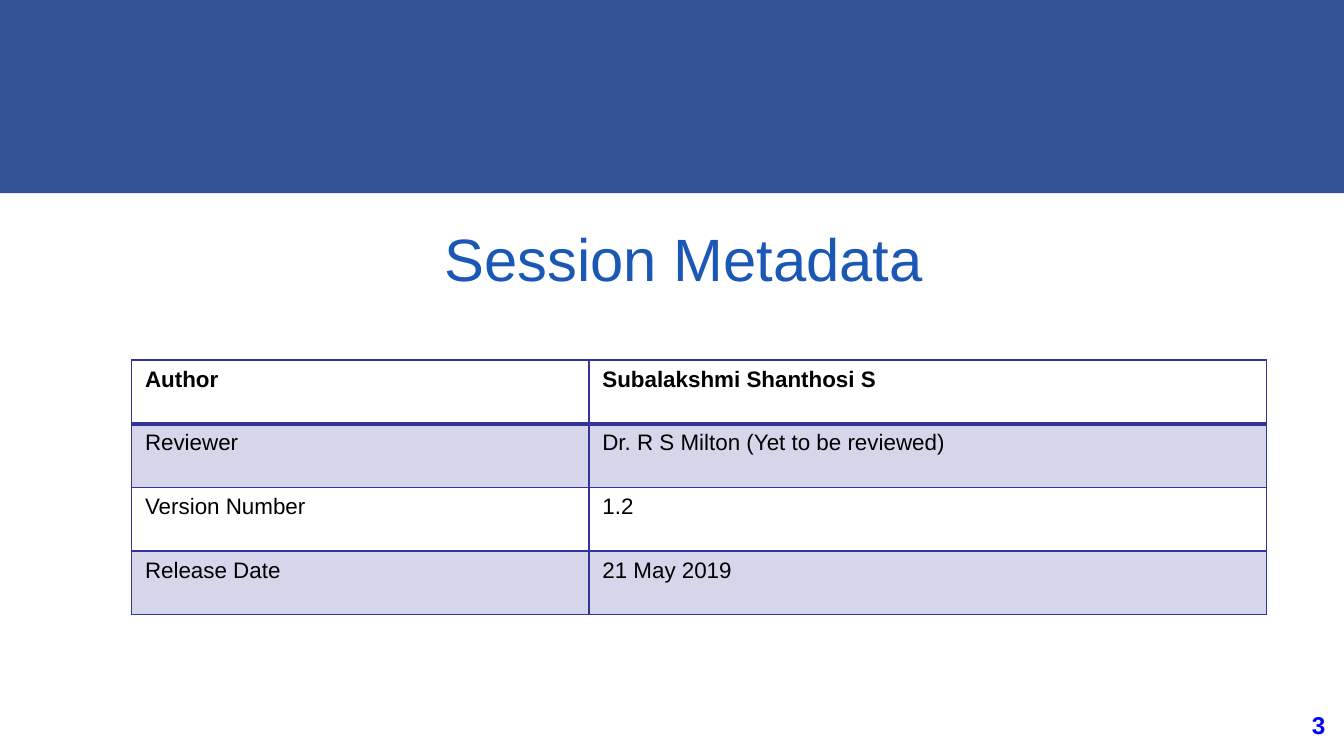
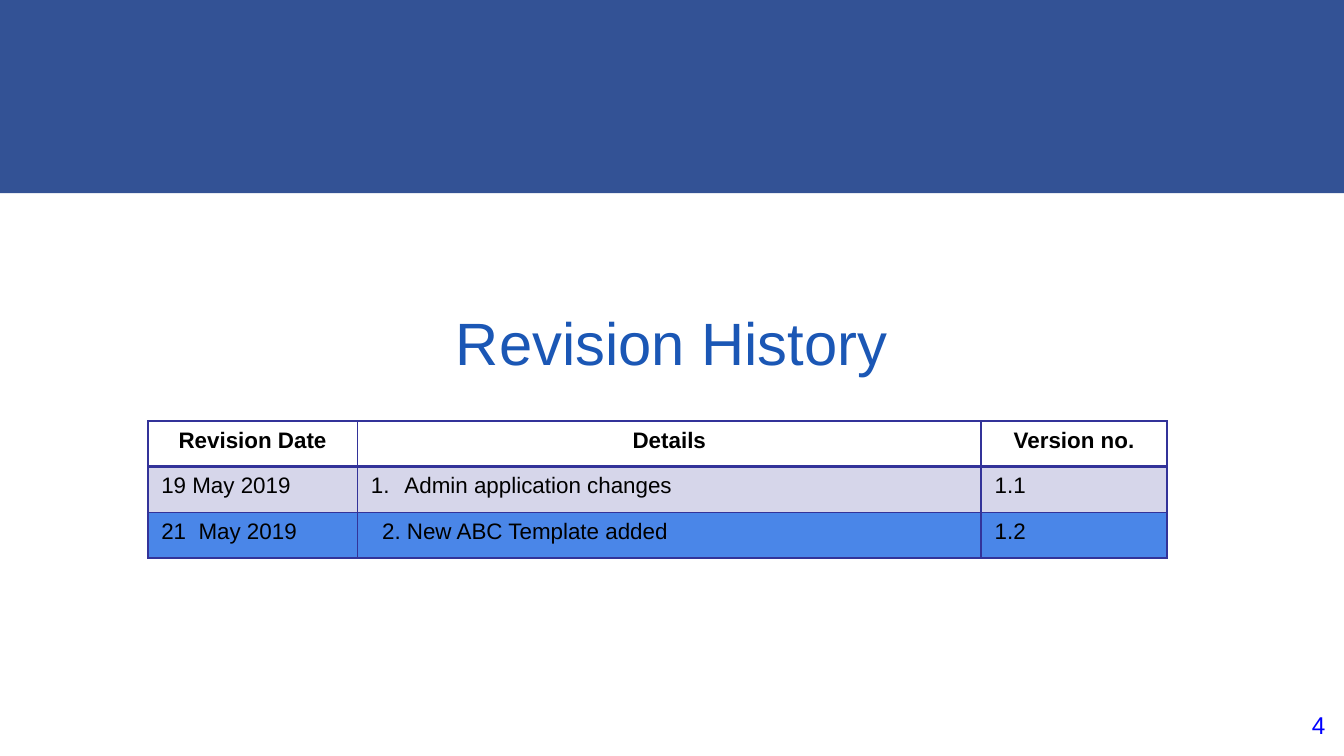
"""Build the session metadata and revision history slides."""
from dataclasses import dataclass
from typing import Optional

from lxml.etree import SubElement
from pptx import Presentation
from pptx.dml.color import RGBColor
from pptx.enum.shapes import MSO_SHAPE
from pptx.enum.text import MSO_ANCHOR, PP_ALIGN
from pptx.oxml.ns import qn
from pptx.slide import Slide
from pptx.table import _Cell
from pptx.text.text import _Paragraph
from pptx.util import Pt


@dataclass(frozen=True)
class Theme:
    """Colours, type sizes and line widths shared by the slides."""
    font: str = "Arial"
    band: str = "335295"
    title: str = "1B57B5"
    number: str = "0000FF"
    text: str = "000000"
    grid: str = "333399"
    highlight: str = "4A86E8"
    title_size: float = 32
    number_size: float = 13
    table_size: float = 12
    tint_percent: int = 20
    thin_line: float = 1
    thick_line: float = 2


@dataclass(frozen=True)
class Fill:
    """A cell colour with its opacity in percent."""
    color: str
    opacity: int = 100


@dataclass(frozen=True)
class Entry:
    """The wording of a cell and its indent or list numbering."""
    text: str
    margin: float = 0
    hanging: float = 0
    numbered: bool = False


@dataclass(frozen=True)
class Row:
    """A table row with an optional fill."""
    entries: tuple[Entry, ...]
    fill: Optional[Fill] = None


@dataclass(frozen=True)
class Grid:
    """A table whose first row is its bold header."""
    left: float
    top: float
    widths: tuple[float, ...]
    row_height: float
    rows: tuple[Row, ...]
    header_alignment: PP_ALIGN = PP_ALIGN.LEFT


@dataclass(frozen=True)
class Page:
    """The content of one slide."""
    title: str
    title_left: float
    title_top: float
    number: str
    number_bold: bool
    grid: Grid


THEME = Theme()
TINT = Fill(THEME.grid, THEME.tint_percent)
HIGHLIGHT = Fill(THEME.highlight)


def row(*entries: str | Entry, fill: Optional[Fill] = None) -> Row:
    """Make a row from plain strings and entries."""
    return Row(tuple(Entry(e) if isinstance(e, str) else e for e in entries), fill)


PAGES = (
    Page("Session Metadata", 42.5, 106.5, "3", True, Grid(
        70.5, 193, (245, 363), 34.1, (
            row("Author", "Subalakshmi Shanthosi S"),
            row("Reviewer", "Dr. R S Milton (Yet to be reviewed)", fill=TINT),
            row("Version Number", "1.2"),
            row("Release Date", "21 May 2019", fill=TINT),
        ))),
    Page("Revision History", 36, 152, "4", False, Grid(
        79.2, 225.5, (112.3, 334.2, 99.5), 24.5, (
            row("Revision Date", "Details", "Version no."),
            row("19 May 2019", Entry("Admin application changes", 18, -18, True), "1.1",
                fill=TINT),
            row("21  May 2019", Entry("2. New ABC Template added", 6), "1.2",
                fill=HIGHLIGHT),
        ), PP_ALIGN.CENTER)),
)


def style_paragraph(paragraph: _Paragraph, size: float, color: str,
                    alignment: PP_ALIGN, bold: bool = False) -> None:
    """Set the font and alignment of a paragraph."""
    paragraph.alignment = alignment
    font = paragraph.font
    font.name, font.size, font.bold = THEME.font, Pt(size), bold
    font.color.rgb = RGBColor.from_string(color)


def add_band(slide: Slide) -> None:
    """Draw the band across the top of the slide."""
    band = slide.shapes.add_shape(MSO_SHAPE.RECTANGLE, 0, 0, Pt(720), Pt(103.5))
    band.shadow.inherit = False
    band.fill.solid()
    band.fill.fore_color.rgb = RGBColor.from_string(THEME.band)
    band.line.fill.background()


def add_title(slide: Slide, page: Page) -> None:
    """Place the centred slide title."""
    shape = slide.shapes.add_textbox(
        Pt(page.title_left), Pt(page.title_top), Pt(648), Pt(62.5))
    frame = shape.text_frame
    frame.word_wrap = True
    frame.vertical_anchor = MSO_ANCHOR.MIDDLE
    frame.text = page.title
    style_paragraph(frame.paragraphs[0], THEME.title_size, THEME.title, PP_ALIGN.CENTER)


def add_number(slide: Slide, page: Page) -> None:
    """Place the slide number in the lower right corner."""
    shape = slide.shapes.add_textbox(Pt(674), Pt(373.5), Pt(43), Pt(31))
    frame = shape.text_frame
    frame.word_wrap = True
    frame.margin_top = frame.margin_bottom = Pt(7.2)
    frame.text = page.number
    style_paragraph(frame.paragraphs[0], THEME.number_size, THEME.number,
                    PP_ALIGN.RIGHT, page.number_bold)


def set_borders(cell: _Cell, top: float, bottom: float) -> None:
    """Line all four sides of a cell."""
    properties = cell._tc.get_or_add_tcPr()
    sides = {"L": THEME.thin_line, "R": THEME.thin_line, "T": top, "B": bottom}
    for side, width in sides.items():
        line = SubElement(properties, qn(f"a:ln{side}"), w=str(Pt(width)))
        fill = SubElement(line, qn("a:solidFill"))
        SubElement(fill, qn("a:srgbClr"), val=THEME.grid)


def set_fill(cell: _Cell, fill: Optional[Fill]) -> None:
    """Fill a cell, or leave it clear."""
    if fill is None:
        cell.fill.background()
        return
    cell.fill.solid()
    cell.fill.fore_color.rgb = RGBColor.from_string(fill.color)
    if fill.opacity < 100:
        color = cell._tc.tcPr.find(f"{qn('a:solidFill')}/{qn('a:srgbClr')}")
        SubElement(color, qn("a:alpha"), val=str(fill.opacity * 1000))


def set_indent(paragraph: _Paragraph, entry: Entry) -> None:
    """Apply the indent and numbering of an entry."""
    properties = paragraph._p.get_or_add_pPr()
    if entry.margin:
        properties.set("marL", str(Pt(entry.margin)))
        properties.set("indent", str(Pt(entry.hanging)))
    if entry.numbered:
        color = SubElement(properties, qn("a:buClr"))
        SubElement(color, qn("a:srgbClr"), val=THEME.text)
        SubElement(properties, qn("a:buAutoNum"), type="arabicPeriod")


def add_grid(slide: Slide, grid: Grid) -> None:
    """Draw a table with a bold header and a thick rule below it."""
    row_count = len(grid.rows)
    table = slide.shapes.add_table(
        row_count, len(grid.widths), Pt(grid.left), Pt(grid.top),
        Pt(sum(grid.widths)), Pt(grid.row_height * row_count)).table
    table.first_row = table.horz_banding = False
    for column, width in zip(table.columns, grid.widths):
        column.width = Pt(width)
    for index, content in enumerate(grid.rows):
        table.rows[index].height = Pt(grid.row_height)
        header = index == 0
        top = THEME.thick_line if index == 1 else THEME.thin_line
        bottom = THEME.thick_line if header else THEME.thin_line
        alignment = grid.header_alignment if header else PP_ALIGN.LEFT
        for cell, entry in zip(table.rows[index].cells, content.entries):
            cell.text = entry.text
            paragraph = cell.text_frame.paragraphs[0]
            set_indent(paragraph, entry)
            style_paragraph(paragraph, THEME.table_size, THEME.text, alignment, header)
            set_borders(cell, top, bottom)
            set_fill(cell, content.fill)


def main() -> None:
    """Build and save the presentation."""
    presentation = Presentation()
    presentation.slide_width, presentation.slide_height = Pt(720), Pt(405)
    for page in PAGES:
        slide = presentation.slides.add_slide(presentation.slide_layouts[6])
        add_band(slide)
        add_number(slide, page)
        add_title(slide, page)
        add_grid(slide, page.grid)
    presentation.save("out.pptx")


if __name__ == "__main__":
    main()
